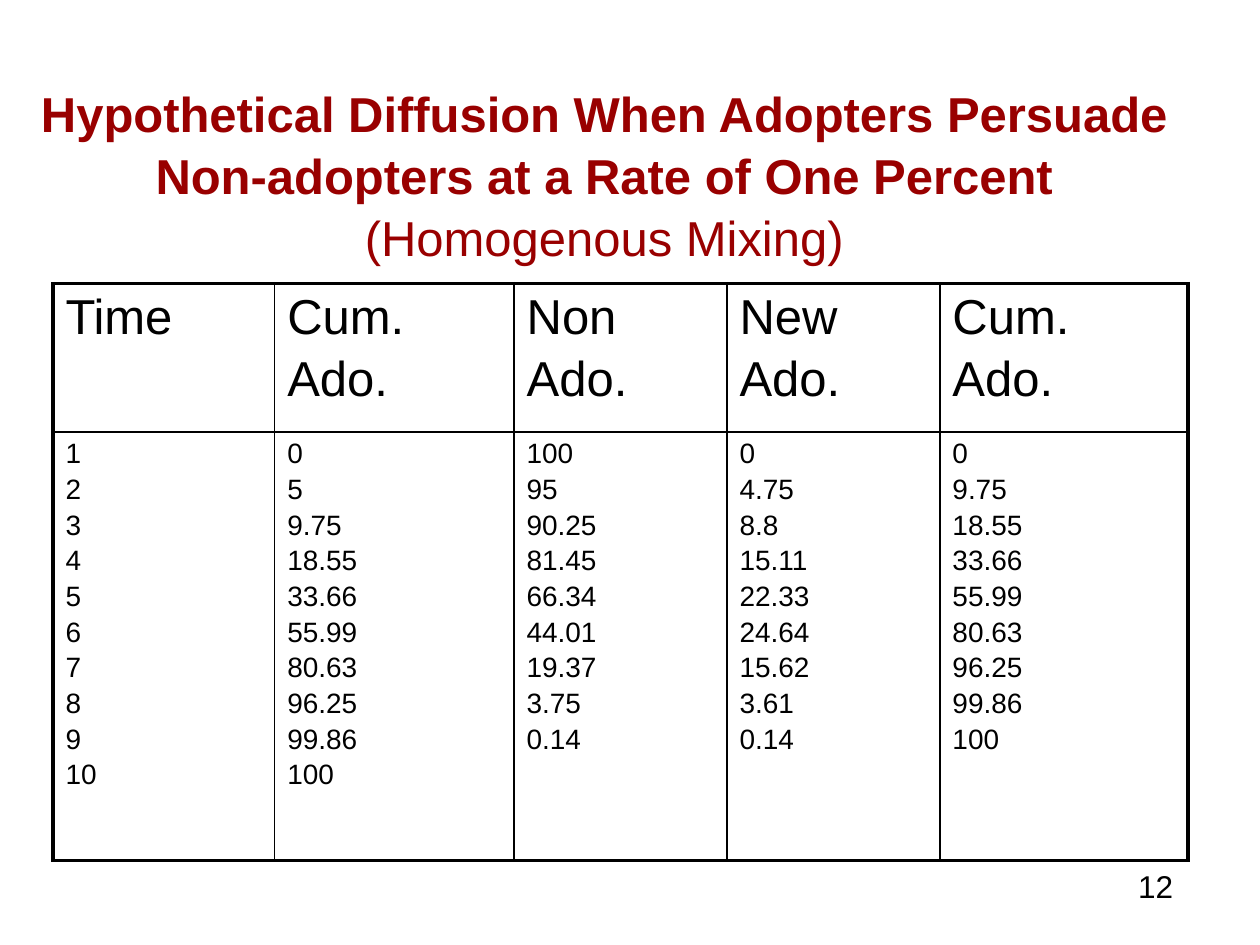
import pptx
import pptx.dml.color
import pptx.enum.text
import pptx.oxml
import pptx.oxml.ns
import pptx.util
from dataclasses import dataclass
from pptx.util import Inches


@dataclass(frozen=True)
class Theme:
    font: str = "Arial"
    title_color: str = "990000"
    ink: str = "000000"
    heading_size: int = 28
    body_size: int = 16
    number_size: int = 18
    outer_line: float = 2.25
    inner_line: float = 1
    space_ratio: float = 0.16


theme = Theme()
ALIGN = pptx.enum.text.PP_ALIGN


def add_text(paragraph, text, size, color=theme.ink, bold=False,
             align=ALIGN.LEFT, space_before=0):
    paragraph.alignment = align
    paragraph.space_before = pptx.util.Pt(space_before)
    run = paragraph.add_run()
    run.text = text
    run.font.name = theme.font
    run.font.size = pptx.util.Pt(size)
    run.font.bold = bold
    run.font.color.rgb = pptx.dml.color.RGBColor.from_string(color)


def add_border(cell, side, width):
    cell._tc.get_or_add_tcPr().append(pptx.oxml.parse_xml(
        f'<a:{side} {pptx.oxml.ns.nsdecls("a")} w="{int(pptx.util.Pt(width))}">'
        f'<a:solidFill><a:srgbClr val="{theme.ink}"/></a:solidFill></a:{side}>'))


presentation = pptx.Presentation()
presentation.slide_width = Inches(10)
presentation.slide_height = Inches(7.5)
slide = presentation.slides.add_slide(presentation.slide_layouts[5])

# Title
title = slide.shapes.title
title.left, title.top = Inches(0.17), Inches(0.75)
title.width, title.height = Inches(9.25), Inches(1.25)
title_frame = title.text_frame
title_frame.auto_size = pptx.enum.text.MSO_AUTO_SIZE.NONE
title_frame.vertical_anchor = pptx.enum.text.MSO_ANCHOR.MIDDLE
title_frame.word_wrap = True
title_paragraph = title_frame.paragraphs[0]
title_paragraph.line_spacing = 1.05
add_text(title_paragraph,
         "Hypothetical Diffusion When Adopters Persuade "
         "Non-adopters at a Rate of One Percent",
         theme.heading_size, color=theme.title_color, bold=True, align=ALIGN.CENTER)
title_paragraph.add_line_break()
add_text(title_paragraph, "(Homogenous Mixing)",
         theme.heading_size, color=theme.title_color, align=ALIGN.CENTER)

# Diffusion table: heading lines, values and width of each column
cumulative = ["0", "5", "9.75", "18.55", "33.66", "55.99", "80.63",
              "96.25", "99.86", "100"]
columns = [
    (["Time"], [str(time) for time in range(1, 11)], 1.76),
    (["Cum.", "Ado."], cumulative, 1.9),
    (["Non", "Ado."], ["100", "95", "90.25", "81.45", "66.34", "44.01",
                       "19.37", "3.75", "0.14"], 1.69),
    (["New", "Ado."], ["0", "4.75", "8.8", "15.11", "22.33", "24.64",
                       "15.62", "3.61", "0.14"], 1.69),
    (["Cum.", "Ado."], cumulative[:1] + cumulative[2:], 1.97),
]
row_heights = [1.18, 3.4]
row_sizes = [theme.heading_size, theme.body_size]
table = slide.shapes.add_table(2, len(columns), Inches(0.42), Inches(2.25),
                               Inches(9), Inches(4.58)).table
table.first_row = False
table.horz_banding = False
for row, height in zip(table.rows, row_heights):
    row.height = Inches(height)

last_column = len(columns) - 1
for column_index, (heading, values, width) in enumerate(columns):
    table.columns[column_index].width = Inches(width)
    for row_index, lines in enumerate([heading, values]):
        cell = table.cell(row_index, column_index)
        size = row_sizes[row_index]
        for line_index, line in enumerate(lines):
            frame = cell.text_frame
            paragraph = frame.add_paragraph() if line_index else frame.paragraphs[0]
            add_text(paragraph, line, size, space_before=round(size * theme.space_ratio, 1))
        # Thick outline, thin inner rules
        outer_sides = {"lnL": column_index == 0, "lnR": column_index == last_column,
                       "lnT": row_index == 0, "lnB": row_index == 1}
        for side, is_outer in outer_sides.items():
            add_border(cell, side, theme.outer_line if is_outer else theme.inner_line)
        cell.fill.background()

# Slide number
number_box = slide.shapes.add_textbox(Inches(7.08), Inches(6.83),
                                      Inches(2.33), Inches(0.52))
number_box.text_frame.word_wrap = True
add_text(number_box.text_frame.paragraphs[0], "12", theme.number_size, align=ALIGN.RIGHT)

presentation.save("out.pptx")
